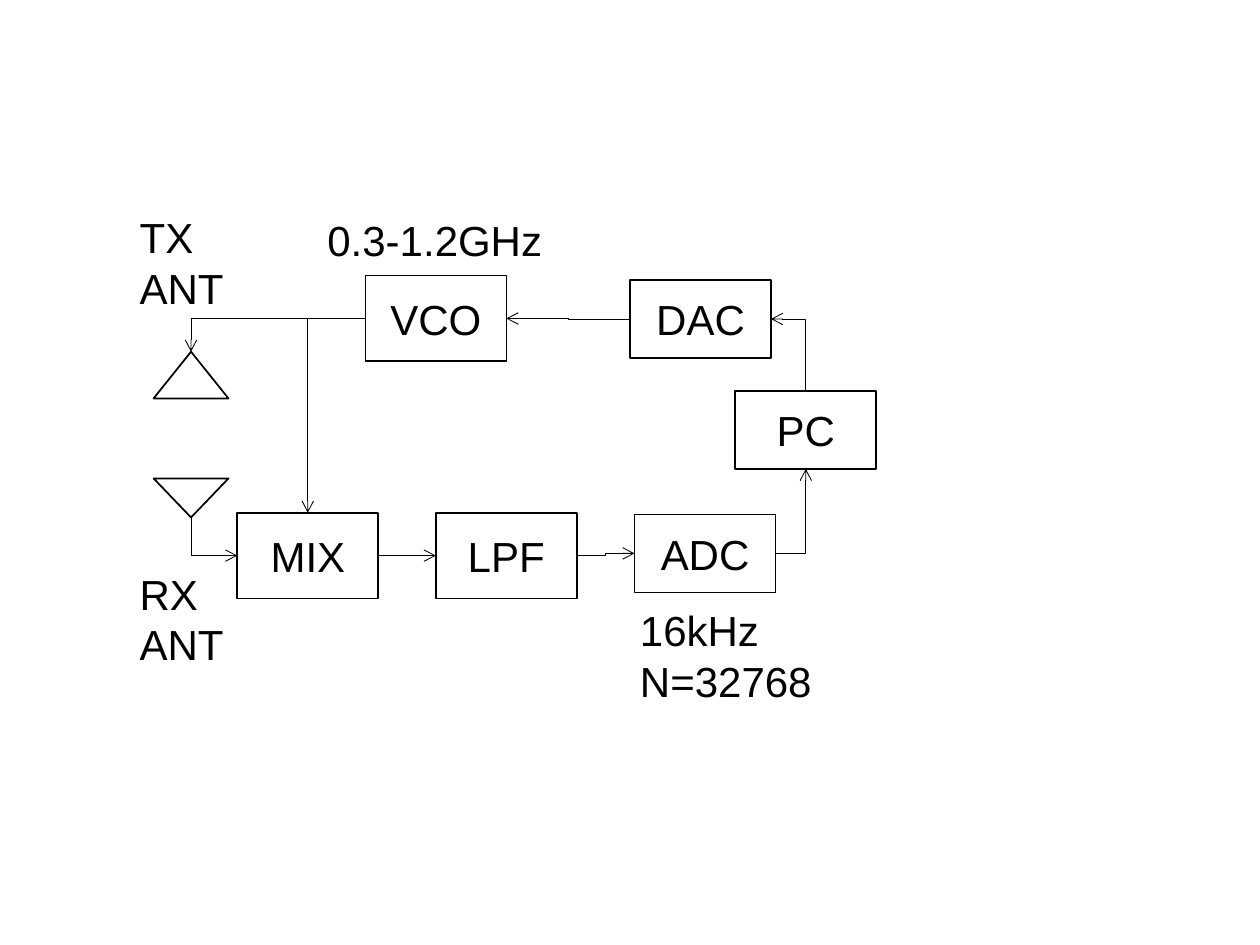
from lxml import etree
from pptx import Presentation
from pptx.dml.color import RGBColor
from pptx.enum.shapes import MSO_CONNECTOR, MSO_SHAPE
from pptx.enum.text import MSO_ANCHOR, MSO_AUTO_SIZE, PP_ALIGN
from pptx.oxml.ns import qn
from pptx.util import Pt

BLACK = RGBColor(0, 0, 0)
WHITE = RGBColor(255, 255, 255)
RECTANGLE = MSO_SHAPE.RECTANGLE
TRIANGLE = MSO_SHAPE.ISOSCELES_TRIANGLE
ELBOW = MSO_CONNECTOR.ELBOW
MIDDLE = MSO_ANCHOR.MIDDLE
CENTER, LEFT = PP_ALIGN.CENTER, PP_ALIGN.LEFT
GROW = MSO_AUTO_SIZE.SHAPE_TO_FIT_TEXT

FONT = {"name": "Arial", "size": Pt(24)}
BLOCK_FRAME = {"vertical_anchor": MIDDLE, "word_wrap": True}
LABEL_FRAME = {"word_wrap": False, "auto_size": GROW}

BLOCK_WIDTH = 80.6
TALL, SHORT = 49, 44.6
BLOCKS = {
    "VCO": (208.8, 157.5, TALL),
    "DAC": (360, 160, SHORT),
    "MIX": (135.6, 293, TALL),
    "LPF": (249, 293, TALL),
    "ADC": (362.6, 294, SHORT),
    "PC": (420.2, 223.4, SHORT),
}
ANTENNAS = {
    "TX": (87.8, 201, 42.8, 26.7, False),
    "RX": (87.8, 273.4, 42.8, 22.3, True),
}
LABELS = [
    (72.7, 117.4, 63.4, 65.5, ["TX", "ANT"]),
    (72.7, 321.1, 63.4, 65.5, ["RX", "ANT"]),
    (180, 118.8, 138.2, 36, ["0.3-1.2GHz"]),
    (358.6, 342, 113.8, 65.5, ["16kHz", "N=32768"]),
]
CORNER, STEP = "bentConnector2", "bentConnector3"
HEAD, TAIL = "a:headEnd", "a:tailEnd"
LINKS = [
    ("VCO", "left", "TX", "top", CORNER, TAIL),
    ("VCO", "left", "MIX", "top", CORNER, TAIL),
    ("DAC", "left", "VCO", "right", STEP, TAIL),
    ("MIX", "left", "RX", "bottom", CORNER, HEAD),
    ("DAC", "right", "PC", "top", CORNER, HEAD),
    ("ADC", "right", "PC", "bottom", CORNER, TAIL),
    ("MIX", "right", "LPF", "left", STEP, TAIL),
    ("LPF", "right", "ADC", "left", STEP, TAIL),
]
SIDES = {"left": (0, 0.5), "right": (1, 0.5), "top": (0.5, 0), "bottom": (0.5, 1)}


def assign(target, values):
    """Set attributes of an object from a dict."""
    for name, value in values.items():
        setattr(target, name, value)


def write_text(frame, lines, align, frame_format):
    """Fill a text frame with one paragraph per line."""
    assign(frame, frame_format)
    for number, line in enumerate(lines):
        para = frame.add_paragraph() if number else frame.paragraphs[0]
        para.alignment = align
        span = para.add_run()
        span.text = line
        assign(span.font, FONT)
        span.font.color.rgb = BLACK


def draw_line(line, width):
    """Make a line black and of the given width."""
    line.color.rgb = BLACK
    line.width = Pt(width)


def add_outline(page, kind, left, top, width, height):
    """Add a preset shape with a thin black outline."""
    shape = page.shapes.add_shape(kind, Pt(left), Pt(top), Pt(width), Pt(height))
    shape.shadow.inherit = False
    draw_line(shape.line, 1)
    return shape


def add_block(page, name, left, top, height):
    """Add a named block of the diagram."""
    box = add_outline(page, RECTANGLE, left, top, BLOCK_WIDTH, height)
    box.fill.solid()
    box.fill.fore_color.rgb = WHITE
    write_text(box.text_frame, [name], CENTER, BLOCK_FRAME)
    return box


def add_antenna(page, left, top, width, height, flipped):
    """Add an antenna triangle, pointing down when flipped."""
    antenna = add_outline(page, TRIANGLE, left, top, width, height)
    antenna.fill.background()
    if flipped:
        antenna._element.spPr.find(qn("a:xfrm")).set("flipV", "1")
    return antenna


def add_label(page, left, top, width, height, lines):
    """Add a free text label."""
    box = page.shapes.add_textbox(Pt(left), Pt(top), Pt(width), Pt(height))
    write_text(box.text_frame, lines, LEFT, LABEL_FRAME)


def side_point(shape, side):
    """Return the middle of one side of a shape."""
    across, down = SIDES[side]
    return int(shape.left + across * shape.width), int(shape.top + down * shape.height)


def add_link(page, start, end, geometry, arrow_end):
    """Add a bent connector with an open arrowhead at one end."""
    link = page.shapes.add_connector(ELBOW, *start, *end)
    draw_line(link.line, 0.5)
    properties = link._element.spPr
    properties.find(qn("a:prstGeom")).set("prst", geometry)
    etree.SubElement(properties.find(qn("a:ln")), qn(arrow_end), type="arrow")
    etree.SubElement(properties, qn("a:effectLst"))


def main():
    """Build the radar block diagram."""
    deck = Presentation()
    assign(deck, {"slide_width": Pt(720), "slide_height": Pt(540)})
    page = deck.slides.add_slide(deck.slide_layouts[6])
    parts = {name: add_block(page, name, *place) for name, place in BLOCKS.items()}
    for name, place in ANTENNAS.items():
        parts[name] = add_antenna(page, *place)
    for source, source_side, target, target_side, geometry, arrow_end in LINKS:
        start = side_point(parts[source], source_side)
        end = side_point(parts[target], target_side)
        add_link(page, start, end, geometry, arrow_end)
    for label in LABELS:
        add_label(page, *label)
    deck.save("out.pptx")


main()
